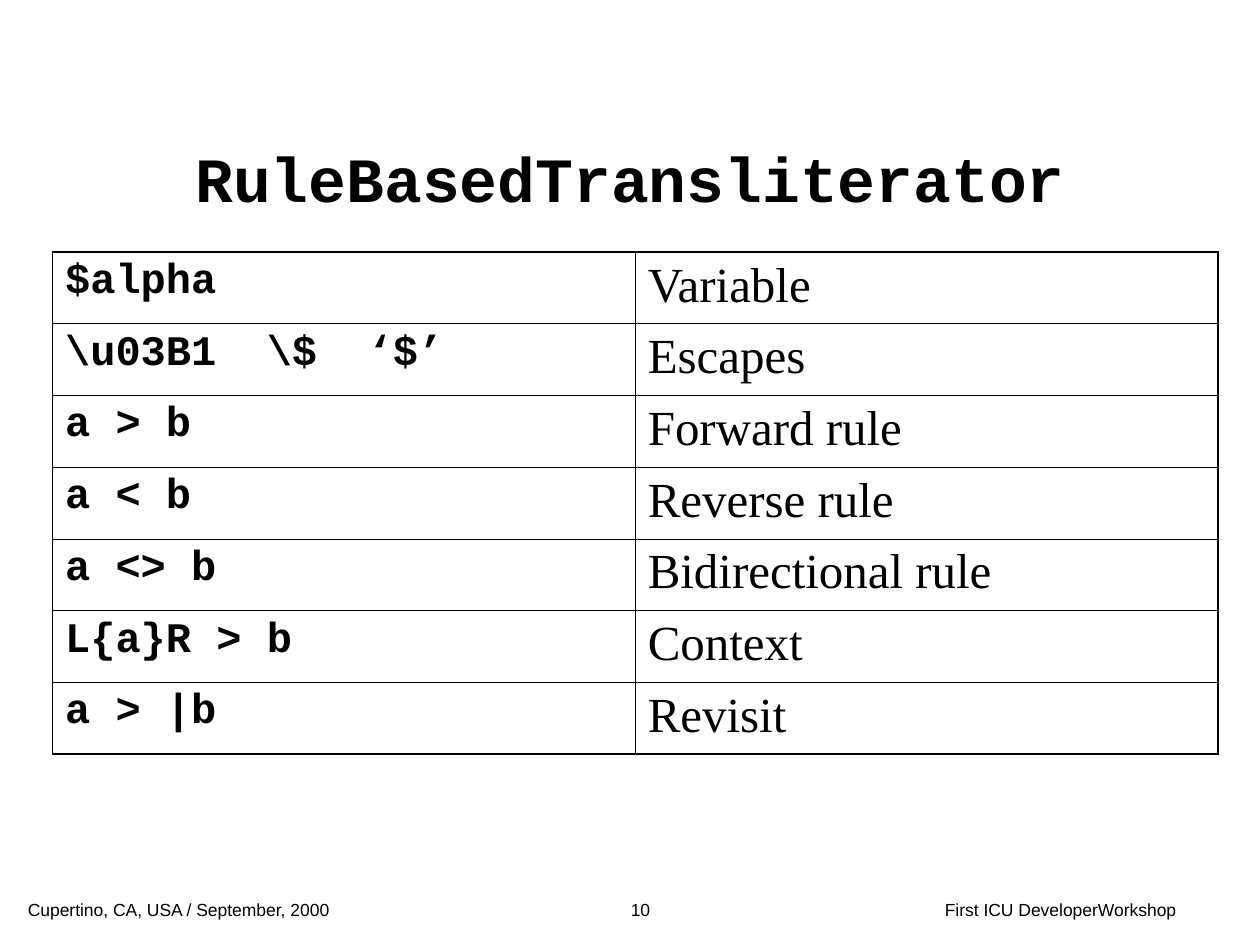
from dataclasses import dataclass

from lxml.etree import SubElement
from pptx import Presentation
from pptx.dml.color import RGBColor
from pptx.enum.text import MSO_ANCHOR, PP_ALIGN
from pptx.oxml.ns import qn
from pptx.util import Pt


@dataclass(frozen=True)
class Theme:
    ink: str = "000000"
    paper: str = "FFFFFF"
    title: tuple = ("Courier New", 36, True)
    code: tuple = ("Courier New", 24, True)
    meaning: tuple = ("Times New Roman", 28, False)
    footer: tuple = ("Arial", 10, False)
    outer_line: float = 1.08
    inner_line: float = 0.45


RULES = [
    ("$alpha", "Variable"),
    (r"\u03B1  \$  ‘$’", "Escapes"),
    ("a > b", "Forward rule"),
    ("a < b", "Reverse rule"),
    ("a <> b", "Bidirectional rule"),
    ("L{a}R > b", "Context"),
    ("a > |b", "Revisit"),
]


def set_values(target, values):
    for name, value in values.items():
        setattr(target, name, value)


class SlideBuilder:
    def __init__(self, slide, theme):
        self.slide = slide
        self.theme = theme
        fill = slide.background.fill
        fill.solid()
        fill.fore_color.rgb = RGBColor.from_string(theme.paper)

    def add_styled_run(self, paragraph, text, style, align=PP_ALIGN.LEFT):
        name, size, bold = style
        paragraph.alignment = align
        run = paragraph.add_run()
        run.text = text
        set_values(run.font, {"name": name, "size": Pt(size), "bold": bold})
        run.font.color.rgb = RGBColor.from_string(self.theme.ink)

    def text(self, text, box, style, align=PP_ALIGN.CENTER, anchor=MSO_ANCHOR.TOP):
        shape = self.slide.shapes.add_textbox(*map(Pt, box))
        set_values(shape.text_frame, {
            "word_wrap": True,
            "vertical_anchor": anchor,
            "margin_left": Pt(7.9),
            "margin_right": Pt(7.9),
            "margin_top": Pt(3.6),
            "margin_bottom": Pt(3.6),
        })
        self.add_styled_run(shape.text_frame.paragraphs[0], text, style, align)

    def border(self, cell, outer_sides):
        """Draw all four cell edges, the table's outer ones heavier."""
        properties = cell._tc.get_or_add_tcPr()
        for side in "LRTB":
            width = self.theme.outer_line if side in outer_sides else self.theme.inner_line
            line = SubElement(properties, qn(f"a:ln{side}"), w=str(Pt(width)))
            fill = SubElement(line, qn("a:solidFill"))
            SubElement(fill, qn("a:srgbClr"), val=self.theme.ink)

    def table(self, rows, box, styles):
        row_count, column_count = len(rows), len(styles)
        table = self.slide.shapes.add_table(row_count, column_count, *map(Pt, box)).table
        set_values(table, {"first_row": False, "horz_banding": False})
        for row_index, row in enumerate(rows):
            for column_index, text in enumerate(row):
                cell = table.cell(row_index, column_index)
                edges = {
                    "L": column_index == 0,
                    "R": column_index == column_count - 1,
                    "T": row_index == 0,
                    "B": row_index == row_count - 1,
                }
                self.border(cell, [side for side, outer in edges.items() if outer])
                cell.fill.background()
                self.add_styled_run(cell.text_frame.paragraphs[0], text, styles[column_index])


def main():
    presentation = Presentation()
    set_values(presentation, {"slide_width": Pt(720), "slide_height": Pt(540)})
    theme = Theme()
    builder = SlideBuilder(presentation.slides.add_slide(presentation.slide_layouts[6]), theme)

    builder.text("RuleBasedTransliterator", (66, 71.5, 588, 60), theme.title,
                 anchor=MSO_ANCHOR.MIDDLE)
    builder.table(RULES, (30, 144, 666, 287), (theme.code, theme.meaning))

    footer_top, footer_height = 510, 12
    for text, left, width, align in [
        ("Cupertino, CA, USA / September, 2000", 8, 202, PP_ALIGN.LEFT),
        ("10", 294, 144, PP_ALIGN.CENTER),
        ("First ICU DeveloperWorkshop", 498, 216, PP_ALIGN.CENTER),
    ]:
        builder.text(text, (left, footer_top, width, footer_height), theme.footer, align)

    presentation.save("out.pptx")


if __name__ == "__main__":
    main()
